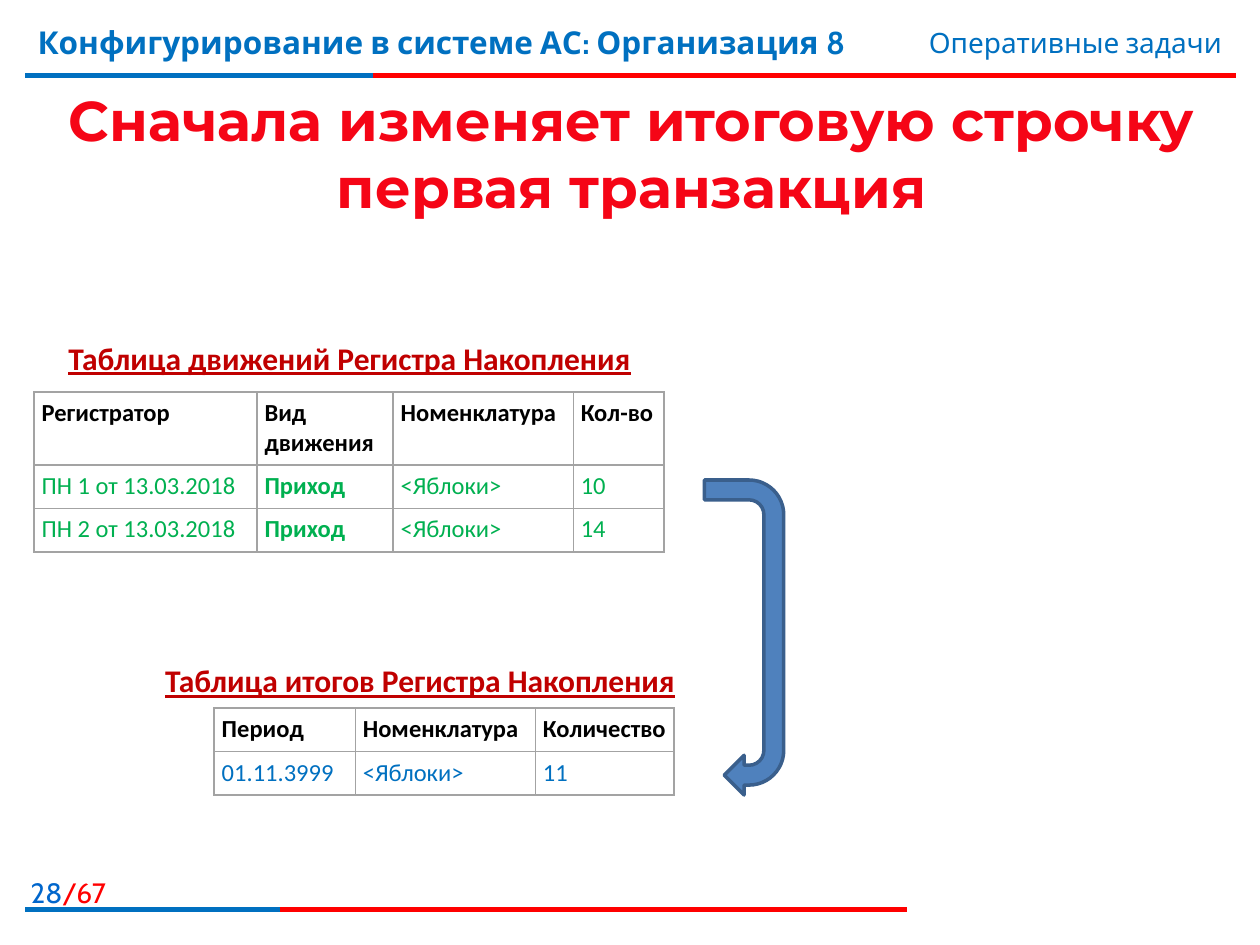
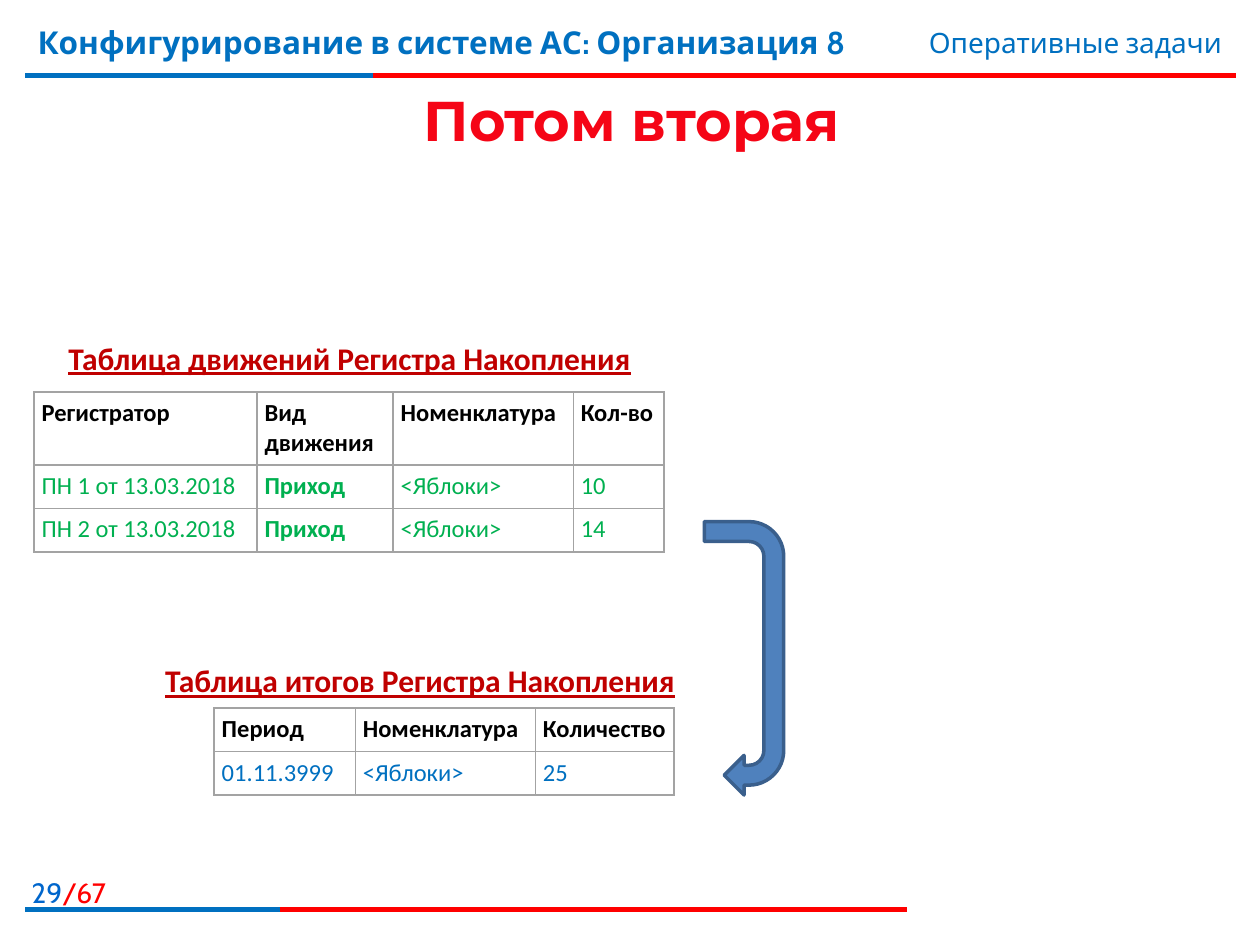
import pptx
import pptx.util
import pptx.dml.color
import pptx.enum.shapes
import pptx.enum.text
import pptx.oxml
import pptx.oxml.ns

Inches = pptx.util.Inches
Pt = pptx.util.Pt
RGBColor = pptx.dml.color.RGBColor
ALIGN = pptx.enum.text.PP_ALIGN
SHAPE = pptx.enum.shapes.MSO_SHAPE

BLUE = RGBColor(0x00, 0x70, 0xC0)
PAGE_BLUE = RGBColor(0x00, 0x66, 0xCC)
RED = RGBColor(0xFF, 0x00, 0x00)
TITLE_RED = RGBColor(0xF5, 0x05, 0x16)
DARK_RED = RGBColor(0xC0, 0x00, 0x00)
GREEN = RGBColor(0x00, 0xB0, 0x50)
BLACK = RGBColor(0x00, 0x00, 0x00)
STEEL = RGBColor(0x4F, 0x81, 0xBD)
STEEL_EDGE = RGBColor(0x3A, 0x5F, 0x8C)
GREY = "A3A3A3"

PAGES = 67
ROW = Inches(0.69) // 2
MOVES = [
    ["Регистратор", "Вид движения", "Номенклатура", "Кол-во"],
    ["ПН 1 от 13.03.2018", "Приход", "<Яблоки>", "10"],
    ["ПН 2 от 13.03.2018", "Приход", "<Яблоки>", "14"],
]
SLIDES = [
    (28, "Сначала изменяет итоговую строчку первая транзакция", "11", 3.81),
    (29, "Потом вторая", "25", 4.14),
]


def write(para, text, font="Calibri", size=14, color=BLACK, bold=False,
          under=False, align=ALIGN.LEFT):
    """Add a formatted run to a paragraph."""
    para.alignment = align
    run = para.add_run()
    run.text = text
    run.font.name = font
    run.font.size = Pt(size)
    run.font.color.rgb = color
    run.font.bold = bold
    run.font.underline = under


def label(slide, box, text, **form):
    """Add a wrapped text box and return its paragraph."""
    frame = slide.shapes.add_textbox(*map(Inches, box)).text_frame
    frame.word_wrap = True
    para = frame.paragraphs[0]
    write(para, text, **form)
    return para


def band(slide, y, split, end, left=0.2):
    """Draw a red rule whose first part is blue."""
    for stop, color in ((end, RED), (split, BLUE)):
        line = slide.shapes.add_connector(
            pptx.enum.shapes.MSO_CONNECTOR.STRAIGHT,
            Inches(left), Inches(y), Inches(stop), Inches(y))
        line.line.color.rgb = color
        line.line.width = Pt(3)
        line._element.spPr.append(pptx.oxml.parse_xml(
            f'<a:effectLst {pptx.oxml.ns.nsdecls("a")}/>'))


def frame(slide, page):
    """Draw the header and footer that all slides share."""
    band(slide, 0.6, 2.96, 9.81)
    band(slide, 7.22, 2.22, 7.2)
    label(slide, (0.2, 0.13, 7.4, 0.62),
          "Конфигурирование в системе АС: Организация 8",
          font="Cabin", size=18, color=BLUE, bold=True)
    label(slide, (5.94, 0.15, 3.86, 0.37), "Оперативные задачи",
          font="Cabin", size=16, color=BLUE, align=ALIGN.RIGHT)
    foot = dict(font="Cabin", size=16, align=ALIGN.RIGHT)
    para = label(slide, (-0.1, 6.9, 1.04, 0.32), str(page),
                 color=PAGE_BLUE, **foot)
    write(para, f"/{PAGES}", color=RED, **foot)


def edge(cell):
    """Give a cell thin grey borders and no fill."""
    props = cell._tc.get_or_add_tcPr()
    for side in "LRTB":
        props.append(pptx.oxml.parse_xml(
            f'<a:ln{side} {pptx.oxml.ns.nsdecls("a")} w="{Pt(1)}">'
            f'<a:solidFill><a:srgbClr val="{GREY}"/></a:solidFill>'
            f'</a:ln{side}>'))
    cell.fill.background()


def grid(slide, left, top, cols, rows, color, head=ROW, strong=()):
    """Draw a table with a bold head and coloured body rows."""
    high = head + ROW * (len(rows) - 1)
    table = slide.shapes.add_table(
        len(rows), len(cols), Inches(left), Inches(top),
        Inches(sum(cols)), high).table
    table.first_row = table.horz_banding = False
    for col, wide in zip(table.columns, cols):
        col.width = Inches(wide)
    for r, row in enumerate(rows):
        table.rows[r].height = ROW if r else head
        for c, text in enumerate(row):
            cell = table.cell(r, c)
            cell.margin_left = cell.margin_right = Inches(0.06)
            cell.margin_top = cell.margin_bottom = Inches(0.05)
            edge(cell)
            write(cell.text_frame.paragraphs[0], text,
                  color=color if r else BLACK, bold=r == 0 or c in strong)


def turn(slide, left, top, wide, high):
    """Draw a U-turn arrow, rotated to fill the given upright box."""
    shape = slide.shapes.add_shape(
        SHAPE.U_TURN_ARROW,
        Inches(left + (wide - high) / 2), Inches(top + (high - wide) / 2),
        Inches(high), Inches(wide))
    shape.rotation = 90
    shape.shadow.inherit = False
    shape.fill.solid()
    shape.fill.fore_color.rgb = STEEL
    shape.line.color.rgb = STEEL_EDGE
    shape.line.width = Pt(2)


def build(deck, page, title, total, top):
    """Build one slide on a register's moves and totals."""
    slide = deck.slides.add_slide(deck.slide_layouts[6])
    frame(slide, page)
    name = dict(size=18, color=DARK_RED, bold=True, under=True,
                align=ALIGN.CENTER)
    label(slide, (0.28, 2.64, 4.99, 0.4),
          "Таблица движений Регистра Накопления", **name)
    label(slide, (1.13, 5.2, 4.41, 0.4),
          "Таблица итогов Регистра Накопления", **name)
    sums = [["Период", "Номенклатура", "Количество"],
            ["01.11.3999", "<Яблоки>", total]]
    grid(slide, 1.7, 5.62, (1.12, 1.43, 1.1), sums, BLUE)
    grid(slide, 0.27, 3.11, (1.77, 1.08, 1.43, 0.72), MOVES, GREEN,
         head=Inches(0.58), strong=(1,))
    label(slide, (0.21, 0.63, 9.61, 0.6), title, font="Montserrat",
          size=32, color=TITLE_RED, bold=True, align=ALIGN.CENTER)
    turn(slide, 5.59, top, 0.63, 6.31 - top)


def main():
    """Build and save the deck."""
    deck = pptx.Presentation()
    deck.slide_width = Inches(10)
    deck.slide_height = Inches(7.5)
    for item in SLIDES:
        build(deck, *item)
    deck.save("out.pptx")


if __name__ == "__main__":
    main()
